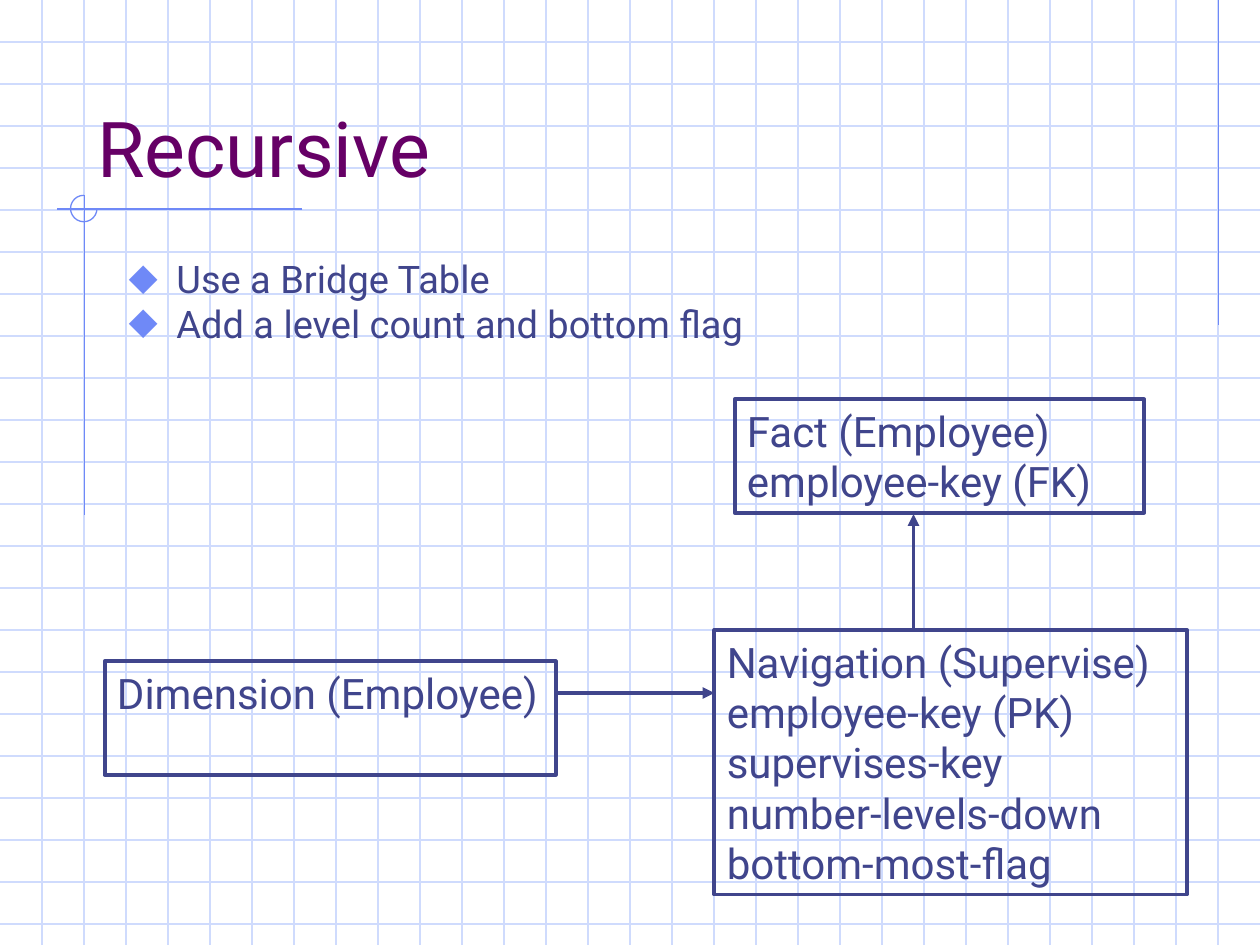
from dataclasses import dataclass

from lxml import etree
from pptx import Presentation
from pptx.dml import color as clr
from pptx.enum import shapes as sh, text as tx
from pptx.oxml import ns
from pptx.util import Inches, Pt


@dataclass(frozen=True)
class Theme:
    font: str = "Roboto"
    grid: str = "CFDBFD"
    trim: str = "6F89F7"
    ink: str = "40458C"
    head: str = "660066"
    title: float = 44
    body: float = 21.7
    label: float = 24
    thin: float = 0.75
    thick: float = 2.25


@dataclass(frozen=True)
class Line:
    x1: float
    y1: float
    x2: float
    y2: float
    hue: str
    width: float
    arrow: bool = False


@dataclass(frozen=True)
class Box:
    x: float
    y: float
    w: float
    h: float
    rows: tuple[str, ...]


THEME = Theme()
WIDE, HIGH, STEP = 10, 7.5, 1 / 3
GRID = [Line(0, n * STEP, WIDE, n * STEP, THEME.grid, THEME.thin) for n in range(1, 23)]
GRID += [Line(n * STEP, 0, n * STEP, HIGH, THEME.grid, THEME.thin) for n in range(1, 30)]
TRIM = [
    Line(9.67, 0, 9.67, 2.58, THEME.trim, THEME.thin),
    Line(2.4, 1.66, 0.45, 1.66, THEME.trim, THEME.thin),
    Line(0.67, 1.55, 0.67, 4.09, THEME.trim, THEME.thin),
]
BOXES = [
    Box(5.83, 3.17, 3.25, 0.9, ("Fact (Employee)", "employee-key (FK)")),
    Box(0.83, 5.25, 3.58, 0.9, ("Dimension (Employee)",)),
    Box(5.67, 5, 3.75, 2.1, (
        "Navigation (Supervise)", "employee-key (PK)", "supervises-key",
        "number-levels-down", "bottom-most-flag")),
]
LINKS = [
    Line(4.42, 5.5, 5.67, 5.5, THEME.ink, THEME.thick, True),
    Line(7.25, 5, 7.25, 4.08, THEME.ink, THEME.thick, True),
]
POINTS = ("Use a Bridge Table", "Add a level count and bottom flag")


def rgb(hue: str) -> clr.RGBColor:
    return clr.RGBColor.from_string(hue)


def style(para, size: float, hue: str) -> None:
    para.alignment = tx.PP_ALIGN.LEFT
    para.font.name = THEME.font
    para.font.size = Pt(size)
    para.font.color.rgb = rgb(hue)


def draw_line(slide, item: Line) -> None:
    ends = [Inches(v) for v in (item.x1, item.y1, item.x2, item.y2)]
    line = slide.shapes.add_connector(sh.MSO_CONNECTOR.STRAIGHT, *ends)
    line.line.color.rgb = rgb(item.hue)
    line.line.width = Pt(item.width)
    props = line._element.spPr
    if item.arrow:
        etree.SubElement(props.find(ns.qn("a:ln")), ns.qn("a:tailEnd"), type="triangle")
    etree.SubElement(props, ns.qn("a:effectLst"))


def draw_arc(slide) -> None:
    spot = [Inches(v) for v in (0.56, 1.55, 0.21, 0.21)]
    arc = slide.shapes.add_shape(sh.MSO_SHAPE.ARC, *spot)
    arc.shadow.inherit = False
    arc.adjustments[0] = 0
    arc.adjustments[1] = 270 * 0.6
    arc.fill.background()
    arc.line.color.rgb = rgb(THEME.trim)
    arc.line.width = Pt(THEME.thin)


def draw_box(slide, item: Box) -> None:
    spot = [Inches(v) for v in (item.x, item.y, item.w, item.h)]
    box = slide.shapes.add_shape(sh.MSO_SHAPE.RECTANGLE, *spot)
    box.shadow.inherit = False
    box.fill.background()
    box.line.color.rgb = rgb(THEME.ink)
    box.line.width = Pt(THEME.thick)
    frame = box.text_frame
    frame.word_wrap = True
    frame.vertical_anchor = tx.MSO_ANCHOR.TOP
    frame.text = "\n".join(item.rows)
    for para in frame.paragraphs:
        style(para, THEME.label, THEME.ink)


def place(holder, x: float, y: float, w: float, h: float) -> None:
    holder.left, holder.top = Inches(x), Inches(y)
    holder.width, holder.height = Inches(w), Inches(h)
    holder.text_frame.auto_size = tx.MSO_AUTO_SIZE.NONE
    tree = holder._element.getparent()
    tree.append(holder._element)


def add_mark(para) -> None:
    props = para._p.get_or_add_pPr()
    props.set("marL", str(Inches(0.38)))
    props.set("indent", str(-Inches(0.38)))
    tint = etree.SubElement(props, ns.qn("a:buClr"))
    etree.SubElement(tint, ns.qn("a:srgbClr"), val=THEME.trim)
    etree.SubElement(props, ns.qn("a:buSzPct"), val="110000")
    etree.SubElement(props, ns.qn("a:buFont"), typeface=THEME.font)
    etree.SubElement(props, ns.qn("a:buChar"), char="⬥")


def write_text(slide) -> None:
    title, body = slide.shapes.title, slide.placeholders[1]
    place(title, 0.67, 0.33, 8.5, 1.25)
    title.text_frame.text = "Recursive"
    title.text_frame.vertical_anchor = tx.MSO_ANCHOR.BOTTOM
    style(title.text_frame.paragraphs[0], THEME.title, THEME.head)
    place(body, 0.92, 2.08, 8.5, 0.75)
    body.text_frame.text = "\n".join(POINTS)
    for para in body.text_frame.paragraphs:
        add_mark(para)
        para.line_spacing = 0.7
        para.space_before = Pt(7)
        style(para, THEME.body, THEME.ink)


def main() -> None:
    deck = Presentation()
    deck.slide_width, deck.slide_height = Inches(WIDE), Inches(HIGH)
    slide = deck.slides.add_slide(deck.slide_layouts[1])
    for item in GRID + TRIM:
        draw_line(slide, item)
    draw_arc(slide)
    write_text(slide)
    for item in BOXES:
        draw_box(slide, item)
    for item in LINKS:
        draw_line(slide, item)
    deck.save("out.pptx")


if __name__ == "__main__":
    main()
